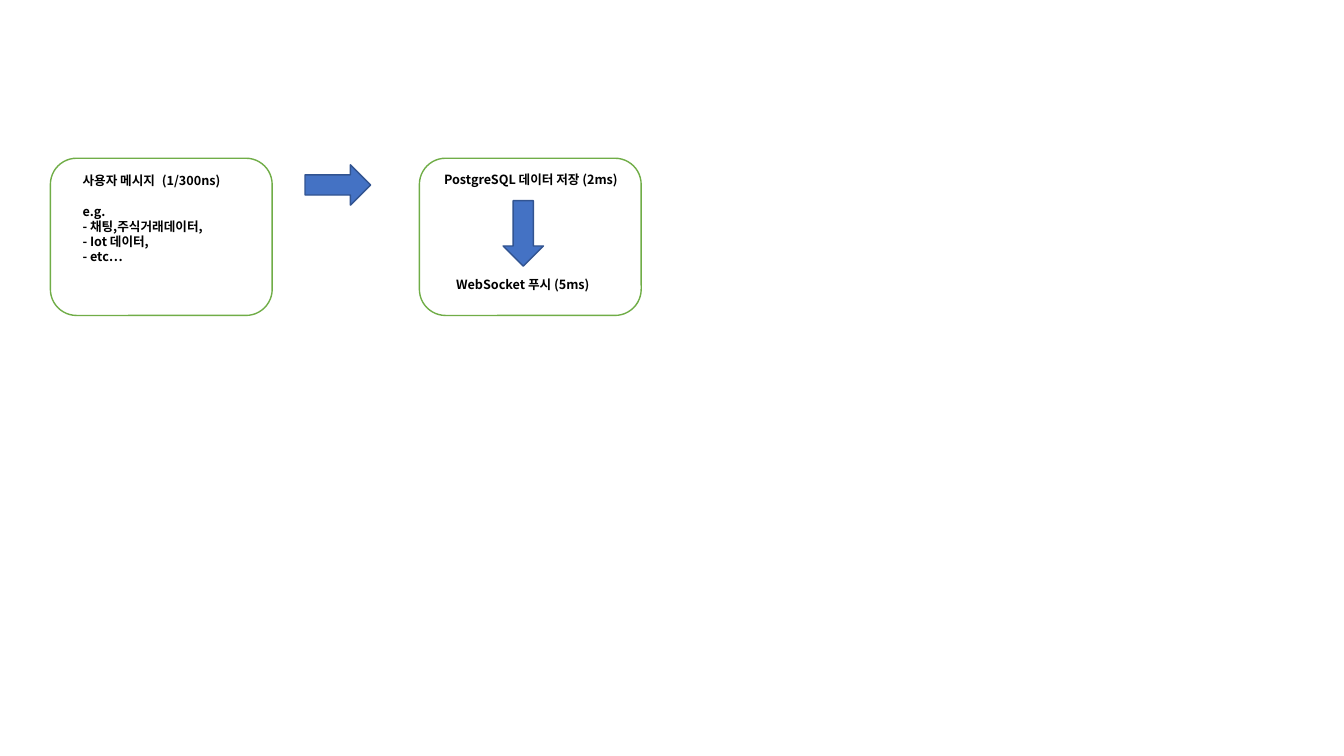
from lxml.etree import SubElement
from pptx import Presentation
from pptx.dml.color import RGBColor
from pptx.enum.shapes import MSO_SHAPE
from pptx.enum.text import MSO_AUTO_SIZE, PP_ALIGN
from pptx.oxml.ns import qn
from pptx.util import Emu, Pt

COLORS = {
    "white": "FFFFFF",
    "black": "000000",
    "green": "70AD47",
    "blue": "4472C4",
    "navy": "325491",
}
FONT = "Noto Sans CJK KR"
EMU_PER_PX = 9144


def px(length):
    return Emu(length * EMU_PER_PX)


def color(name):
    return RGBColor.from_string(COLORS[name])


def write_text(paragraph, text, size=9, bold=True, fill="black",
               align=PP_ALIGN.LEFT, space_before=0):
    paragraph.alignment = align
    paragraph.space_before = Pt(space_before)
    run = paragraph.add_run()
    run.text = text
    run.font.size = Pt(size)
    run.font.bold = bold
    run.font.name = FONT
    run.font.color.rgb = color(fill)
    SubElement(run.font._element, qn("a:ea"), typeface=FONT)


class FlowSlide:
    def __init__(self, presentation):
        self.slide = presentation.slides.add_slide(presentation.slide_layouts[6])

    def shape(self, kind, left, top, width, height, fill, line, rotation=0):
        shape = self.slide.shapes.add_shape(
            kind, px(left), px(top), px(width), px(height))
        shape.shadow.inherit = False
        shape.fill.solid()
        shape.fill.fore_color.rgb = color(fill)
        shape.line.color.rgb = color(line)
        shape.line.width = Pt(1)
        shape.rotation = rotation

    def stage(self, left):
        self.shape(MSO_SHAPE.ROUNDED_RECTANGLE, left, 157, 220, 156,
                   "white", "green")

    def arrow(self, left, top, rotation=0):
        self.shape(MSO_SHAPE.DOWN_ARROW, left, top, 40, 65,
                   "blue", "navy", rotation)

    def text(self, left, top, width, height, lines, align=PP_ALIGN.LEFT):
        frame = self.slide.shapes.add_textbox(
            px(left), px(top), px(width), px(height)).text_frame
        frame.word_wrap = True
        frame.auto_size = MSO_AUTO_SIZE.SHAPE_TO_FIT_TEXT
        for index, (line, space_before) in enumerate(lines):
            paragraph = frame.add_paragraph() if index else frame.paragraphs[0]
            write_text(paragraph, line, align=align, space_before=space_before)

    def label(self, left, top, width, text):
        self.text(left, top, width, 25, [(text, 0)], PP_ALIGN.CENTER)


def main():
    presentation = Presentation()
    presentation.slide_width = px(1333)
    presentation.slide_height = px(750)
    flow = FlowSlide(presentation)

    for left in (50, 416):
        flow.stage(left)
    flow.label(427, 166, 199, "PostgreSQL 데이터 저장 (2ms)")
    flow.label(440, 270, 157, "WebSocket 푸시 (5ms)")
    flow.arrow(499, 199)
    flow.arrow(315, 151, rotation=270)
    flow.text(72, 167, 165, 101, [
        ("사용자 메시지", 0),
        ("e.g.", 11),
        ("- 채팅,주식거래데이터,", 0),
        ("- Iot 데이터,", 0),
        ("- etc…", 0),
    ])
    flow.label(145, 167, 89, "(1/300ns)")

    presentation.save("out.pptx")


if __name__ == "__main__":
    main()
